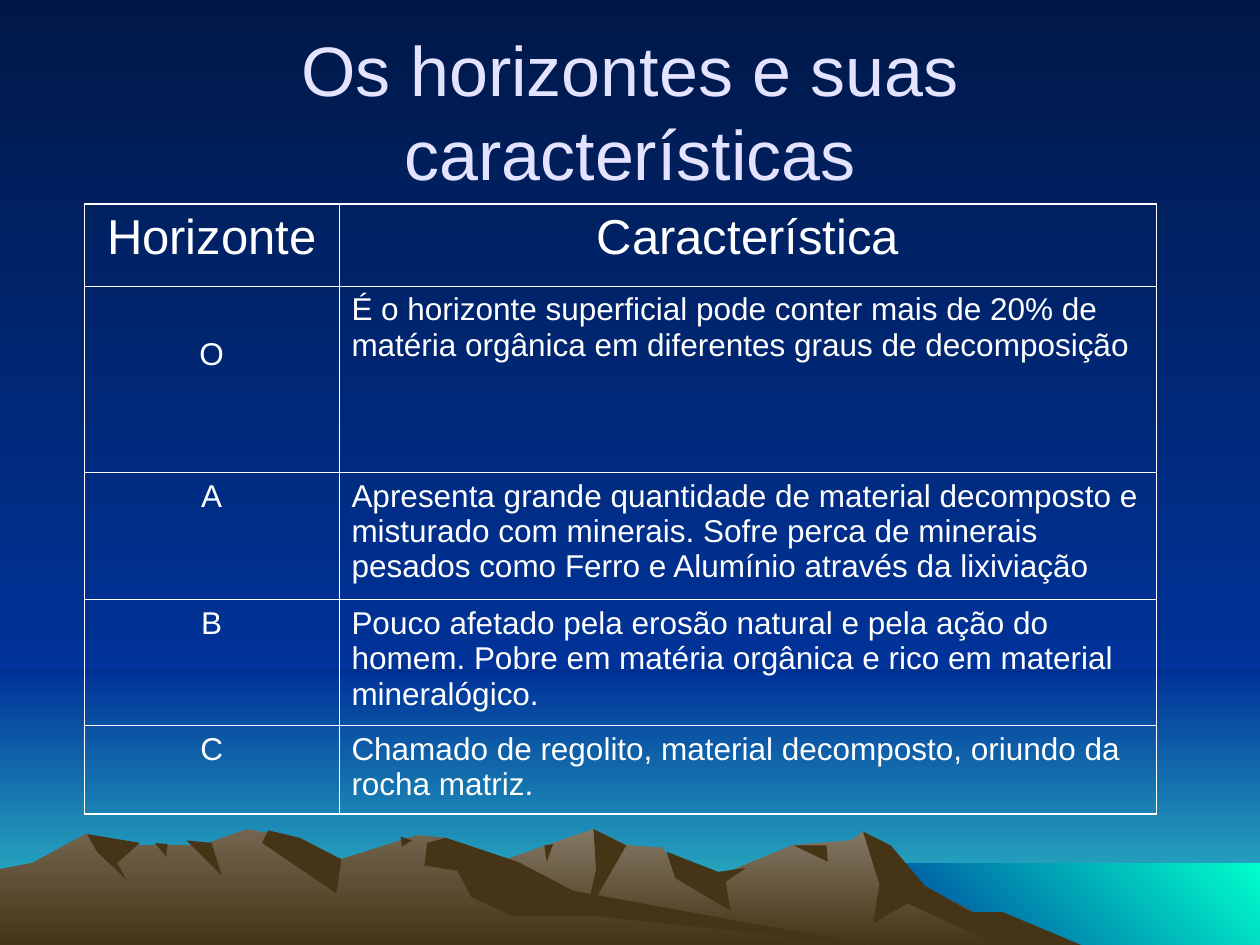
from lxml import etree
from pptx import Presentation
from pptx.dml.color import RGBColor
from pptx.enum.shapes import MSO_SHAPE
from pptx.enum.text import MSO_ANCHOR, MSO_AUTO_SIZE, PP_ALIGN
from pptx.oxml.ns import qn
from pptx.util import Inches, Pt

RECTANGLE = MSO_SHAPE.RECTANGLE
MIDDLE, NO_FIT = MSO_ANCHOR.MIDDLE, MSO_AUTO_SIZE.NONE
LEFT, CENTER = PP_ALIGN.LEFT, PP_ALIGN.CENTER

FONT = "Arial"
COLORS = {
    "night": "001847", "blue": "003399", "teal": "33CCCC", "aqua": "00FFCC",
    "stone": "847864", "rock": "73654F", "shade": "463416",
    "title": "E3E3FF", "text": "FFFFFF",
}

TITLE = "Os horizontes e suas características"
HEADER = ("Horizonte", "Característica")
HORIZONS = [
    ("O", "É o horizonte superficial pode conter mais de 20% de matéria orgânica "
          "em diferentes graus de decomposição"),
    ("A", "Apresenta grande quantidade de material decomposto e misturado com minerais. "
          "Sofre perca de minerais pesados como Ferro e Alumínio através da lixiviação"),
    ("B", "Pouco afetado pela erosão natural e pela ação do homem. "
          "Pobre em matéria orgânica e rico em material mineralógico."),
    ("C", "Chamado de regolito, material decomposto, oriundo da rocha matriz."),
]
COLUMN_WIDTHS = (2.02, 6.49)
ROW_HEIGHTS = (0.65, 1.48, 1.01, 1, 0.7)
OUTER_LINE, INNER_LINE = 1.08, 0.45

# Scenery is laid out on a grid of 1000 by 750 units, one hundredth of an inch each.
UNIT = Inches(0.01)
WIDTH, GROUND = 1000, 750
SKYLINE, SEA_LEFT, SEA_TOP = 533, 683, 685
DOWN, UP_RIGHT = 270, 45
# left, top, right, bottom, gradient colours, gradient angle
BANDS = [
    (0, SKYLINE, WIDTH, GROUND, ("blue", "teal"), DOWN),
    (0, 0, WIDTH, SKYLINE, ("night", "blue"), DOWN),
    (SEA_LEFT, SEA_TOP, WIDTH, GROUND, ("blue", "aqua"), UP_RIGHT),
]
RIGHT_RANGE = [
    (258, GROUND), (394, 685), (471, 658), (497, 671), (526, 673), (536, 690), (566, 697),
    (629, 671), (676, 667), (685, 660), (723, 698), (821, GROUND)]
LEFT_RANGE = [
    (0, GROUND), (0, 690), (26, 685), (68, 662), (94, 671), (160, 671), (196, 658),
    (223, 663), (271, 682), (331, 663), (354, 665), (432, 712), (690, GROUND)]
RIGHT_SHADES = [
    [(685, 660), (707, 671), (734, 703), (771, 724), (796, 724), (858, GROUND),
     (792, GROUND), (720, 717), (693, 733), (698, 702)],
    [(471, 658), (497, 671), (465, 727), (473, 690)],
    [(529, 676), (570, 692), (592, 689), (576, 700), (580, 723), (536, 697)],
    [(630, 671), (656, 671), (657, 684)],
    [(432, 671), (439, 670), (434, 684)],
]
LEFT_SHADES = [
    [(213, 659), (238, 665), (271, 682), (267, 709), (208, 669)],
    [(339, 669), (354, 665), (411, 684), (455, 707), (690, GROUND), (472, 727),
     (407, 727), (374, 712), (363, 691), (337, 687)],
    [(318, 664), (327, 667), (319, 672)],
    [(148, 667), (168, 669), (176, 695)],
    [(123, 669), (133, 670), (132, 680)],
    [(69, 662), (111, 669), (93, 685), (100, 698), (77, 676)],
]
# fill colours (two make a gradient), outlines
MOUNTAINS = [
    (("stone", "shade"), [RIGHT_RANGE]),
    (("shade",), RIGHT_SHADES),
    (("rock", "shade"), [LEFT_RANGE]),
    (("shade",), LEFT_SHADES),
]


def color(name):
    return RGBColor.from_string(COLORS[name])


def paint(fill, names, angle=DOWN):
    """Fill with one colour, or with a gradient between two."""
    if len(names) == 1:
        fill.solid()
        fill.fore_color.rgb = color(names[0])
        return
    fill.gradient()
    fill.gradient_angle = angle
    for stop, name, position in zip(fill.gradient_stops, names, (0, 1)):
        stop.color.rgb = color(name)
        stop.position = position


def finish(shape, names, angle=DOWN):
    """Remove shadow and outline, then fill."""
    shape.shadow.inherit = False
    shape.line.fill.background()
    paint(shape.fill, names, angle)


def write(frame, text, size, color_name, align):
    paragraph = frame.paragraphs[0]
    paragraph.alignment = align
    run = paragraph.add_run()
    run.text = text
    run.font.name, run.font.size = FONT, Pt(size)
    run.font.color.rgb = color(color_name)


def add_border(cell, side, width):
    line = etree.SubElement(cell._tc.get_or_add_tcPr(), qn(f"a:ln{side}"), w=str(Pt(width)))
    solid = etree.SubElement(line, qn("a:solidFill"))
    etree.SubElement(solid, qn("a:srgbClr"), val=COLORS["text"])


def add_scenery(slide):
    paint(slide.background.fill, ("night", "blue"))
    for left, top, right, bottom, names, angle in BANDS:
        box = (UNIT * n for n in (left, top, right - left, bottom - top))
        finish(slide.shapes.add_shape(RECTANGLE, *box), names, angle)
    for names, outlines in MOUNTAINS:
        for start, *others in outlines:
            builder = slide.shapes.build_freeform(*start, scale=UNIT)
            builder.add_line_segments(others, close=True)
            finish(builder.convert_to_shape(), names)


def add_title(slide):
    title = slide.shapes.title
    slide.shapes.element.append(title.element)  # in front of the scenery
    title.left, title.top, title.width, title.height = map(Inches, (0.5, 0.25, 9, 1.25))
    title.text_frame.auto_size = NO_FIT
    title.text_frame.vertical_anchor = MIDDLE
    write(title.text_frame, TITLE, 40, "title", CENTER)


def add_horizon_table(slide):
    rows = [HEADER, *HORIZONS]
    last_row, last_column = len(rows) - 1, len(HEADER) - 1
    size = (sum(COLUMN_WIDTHS), sum(ROW_HEIGHTS))
    table = slide.shapes.add_table(
        len(rows), len(HEADER), *map(Inches, (0.67, 1.62, *size))).table
    table.first_row = table.horz_banding = False
    for column, width in zip(table.columns, COLUMN_WIDTHS):
        column.width = Inches(width)
    for r, texts in enumerate(rows):
        table.rows[r].height = Inches(ROW_HEIGHTS[r])
        for c, text in enumerate(texts):
            cell = table.cell(r, c)
            outer_sides = {"L": c == 0, "R": c == last_column, "T": r == 0, "B": r == last_row}
            for side, outer in outer_sides.items():
                add_border(cell, side, OUTER_LINE if outer else INNER_LINE)
            cell.fill.background()
            centered = r == 0 or c == 0
            write(cell.text_frame, text, 28 if r == 0 else 18, "text",
                  CENTER if centered else LEFT)
    table.cell(1, 0).margin_top = Inches(0.4)


def main():
    deck = Presentation()
    deck.slide_width, deck.slide_height = Inches(10), Inches(7.5)
    slide = deck.slides.add_slide(deck.slide_layouts[5])
    add_scenery(slide)
    add_title(slide)
    add_horizon_table(slide)
    deck.save("out.pptx")


if __name__ == "__main__":
    main()
